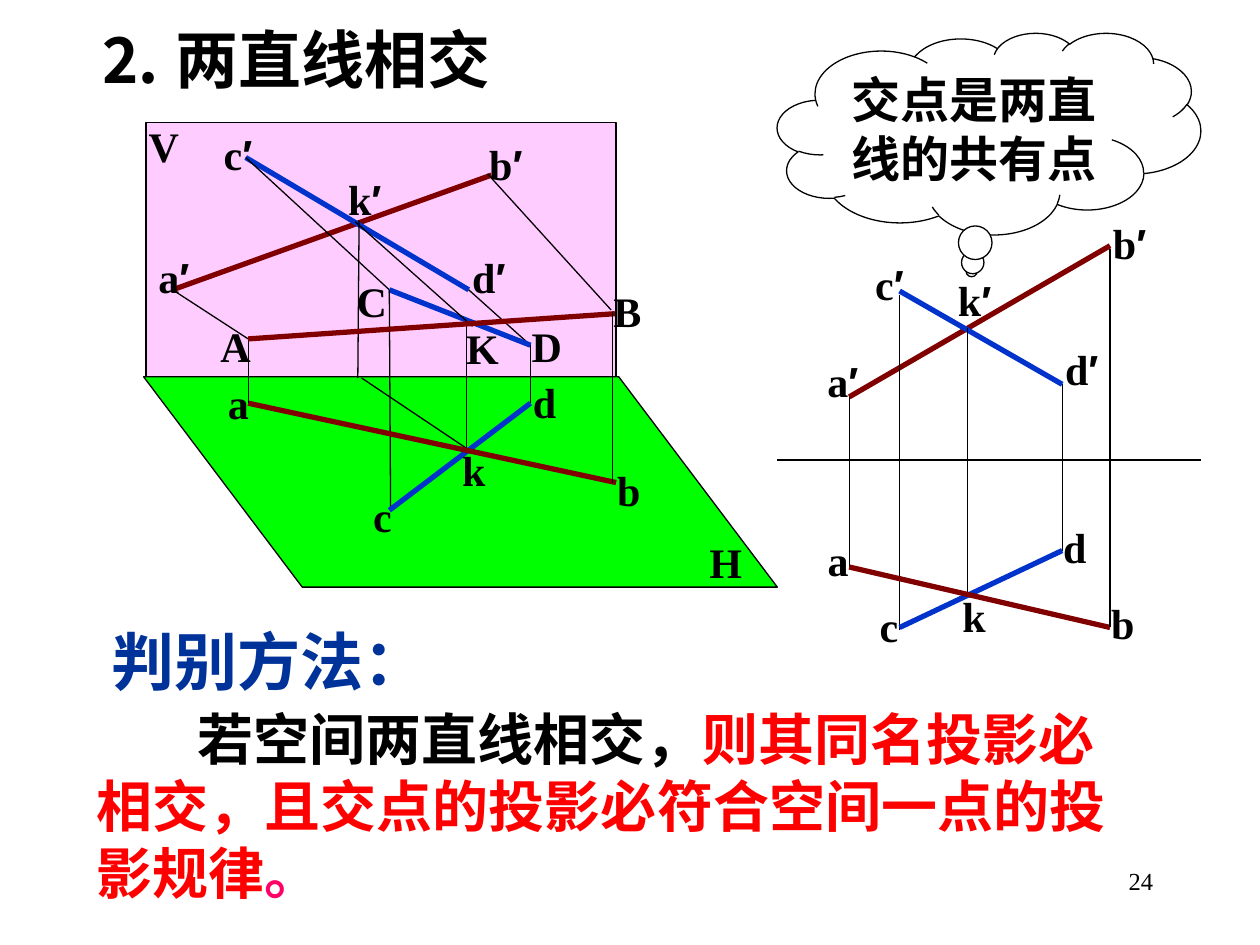
from typing import NamedTuple

from lxml import etree
from pptx import Presentation
from pptx.dml.color import RGBColor
from pptx.enum import shapes, text
from pptx.oxml import ns
from pptx.util import Inches, Pt

BLACK = RGBColor(0x00, 0x00, 0x00)
WHITE = RGBColor(0xFF, 0xFF, 0xFF)
PINK = RGBColor(0xFF, 0xCC, 0xFF)
GREEN = RGBColor(0x00, 0xFF, 0x00)
MAROON = RGBColor(0x80, 0x00, 0x00)
BLUE = RGBColor(0x00, 0x33, 0xCC)
NAVY = RGBColor(0x00, 0x33, 0x99)
RED = RGBColor(0xFF, 0x00, 0x00)
ROSE = RGBColor(0xFF, 0x00, 0x66)

SERIF = "Times New Roman"
SANS = "Arial"
CHINESE = "Noto Sans CJK SC"
THIN, THICK = 0.75, 3
PRIME = "′"


class Segment(NamedTuple):
    x1: float
    y1: float
    x2: float
    y2: float
    color: RGBColor = BLACK
    width: float = THIN


class Label(NamedTuple):
    name: str
    left: float
    top: float
    width: float


SPATIAL_SEGMENTS = [
    Segment(1.37, 2.3, 3.9, 1.39, MAROON, THICK),
    Segment(1.95, 1.25, 3.72, 2.3, BLUE, THICK),
    Segment(3.72, 2.3, 4.21, 2.74),
    Segment(1.95, 1.25, 3.09, 2.3),
    Segment(3.09, 2.3, 4.21, 2.74, BLUE, THICK),
    Segment(3.09, 2.3, 3.1, 4.05),
    Segment(4.21, 2.74, 4.21, 3.2),
    Segment(4.21, 3.2, 3.09, 4.05, BLUE, THICK),
    Segment(2.85, 1.75, 2.84, 3),
    Segment(2.87, 3, 3.72, 3.57),
    Segment(3.7, 2.58, 3.7, 3.57),
    Segment(2.82, 1.76, 3.75, 2.59),
    Segment(1.97, 3.2, 4.89, 3.83, MAROON, THICK),
    Segment(1.97, 3.2, 1.97, 2.69),
    Segment(1.97, 2.69, 1.37, 2.3),
    Segment(1.97, 2.69, 4.88, 2.49, MAROON, THICK),
    Segment(4.86, 2.48, 4.86, 3.83),
    Segment(4.85, 2.46, 3.87, 1.38),
]

SPATIAL_LABELS = [
    Label("H", 5.53, 4.21, 0.46), Label("V", 1.08, 0.91, 0.44),
    Label("A", 1.65, 2.49, 0.44), Label("B", 4.77, 2.22, 0.42),
    Label("C", 2.73, 2.14, 0.44), Label("D", 4.12, 2.49, 0.44),
    Label("K", 3.6, 2.51, 0.46), Label("a", 1.71, 2.95, 0.36),
    Label("b", 4.8, 3.64, 0.38), Label("c", 2.86, 3.84, 0.35),
    Label("d", 4.13, 2.94, 0.38), Label("k", 3.57, 3.48, 0.38),
    Label("a′", 1.14, 1.95, 0.48), Label("b′", 3.77, 1.05, 0.49),
    Label("c′", 1.66, 0.97, 0.46), Label("k′", 2.65, 1.33, 0.49),
    Label("d′", 3.57, 1.95, 0.62),
]

PROJECTION_SEGMENTS = [
    Segment(6.17, 3.65, 9.53, 3.65),
    Segment(6.74, 3.15, 8.81, 1.95, MAROON, THICK),
    Segment(7.14, 2.31, 8.43, 3.05, BLUE, THICK),
    Segment(7.14, 2.34, 7.14, 5),
    Segment(8.43, 3.05, 8.43, 4.37),
    Segment(8.43, 4.37, 7.14, 4.98, BLUE, THICK),
    Segment(7.68, 2.6, 7.68, 4.72),
    Segment(6.74, 3.15, 6.74, 4.5),
    Segment(6.74, 4.5, 8.81, 4.98, MAROON, THICK),
    Segment(8.81, 4.98, 8.81, 1.98),
]

PROJECTION_LABELS = [
    Label("a", 6.47, 4.19, 0.36), Label("b", 8.72, 4.69, 0.37),
    Label("c", 6.88, 4.72, 0.35), Label("d", 8.34, 4.09, 0.37),
    Label("b′", 8.72, 1.68, 0.49), Label("a′", 6.45, 2.77, 0.48),
    Label("c′", 6.83, 2, 0.46), Label("d′", 8.34, 2.68, 0.49),
    Label("k", 7.54, 4.64, 0.38), Label("k′", 7.49, 2.13, 0.49),
]


def add_run(paragraph, content: str, size: float, color: RGBColor = BLACK,
            font: str = SERIF, bold: bool = True) -> None:
    run = paragraph.add_run()
    run.text = content
    run.font.size, run.font.bold, run.font.name = Pt(size), bold, font
    run.font.color.rgb = color
    latin = run.font._element.find(ns.qn("a:latin"))
    east_asian = etree.Element(ns.qn("a:ea"), typeface=CHINESE)
    latin.addnext(east_asian)


def format_frame(shape, align, wrap: bool = False):
    """Set the anchor and wrapping; return the first paragraph."""
    frame = shape.text_frame
    frame.vertical_anchor = text.MSO_ANCHOR.MIDDLE
    frame.word_wrap = wrap
    frame.margin_left = frame.margin_right = Inches(0.1)
    frame.margin_top = frame.margin_bottom = Inches(0.05)
    paragraph = frame.paragraphs[0]
    paragraph.alignment = align
    return paragraph


def add_text_box(container, left: float, top: float, width: float,
                 height: float, align=text.PP_ALIGN.LEFT, wrap: bool = False):
    box = container.add_textbox(*map(Inches, (left, top, width, height)))
    return format_frame(box, align, wrap)


def add_outlined_shape(container, kind, left: float, top: float, width: float,
                       height: float, fill: RGBColor):
    shape = container.add_shape(kind, *map(Inches, (left, top, width, height)))
    shape.shadow.inherit = False
    shape.fill.solid()
    shape.fill.fore_color.rgb = fill
    shape.line.color.rgb = BLACK
    shape.line.width = Pt(THIN)
    return shape


def draw_segment(container, segment: Segment) -> None:
    ends = map(Inches, segment[:4])
    line = container.add_connector(shapes.MSO_CONNECTOR.STRAIGHT, *ends)
    line.line.color.rgb = segment.color
    line.line.width = Pt(segment.width)
    etree.SubElement(line._element.spPr, ns.qn("a:effectLst"))


def draw_label(container, label: Label) -> None:
    paragraph = add_text_box(container, label.left, label.top, label.width, 0.5,
                             text.PP_ALIGN.CENTER)
    add_run(paragraph, label.name[0], 24)
    if label.name.endswith(PRIME):
        add_run(paragraph, PRIME, 24, font=SANS)


def draw_diagram(container, segments: list[Segment], labels: list[Label]) -> None:
    for segment in segments:
        draw_segment(container, segment)
    for label in labels:
        draw_label(container, label)


def main() -> None:
    presentation = Presentation()
    presentation.slide_width, presentation.slide_height = Inches(10), Inches(7.5)
    slide = presentation.slides.add_slide(presentation.slide_layouts[5])

    title = slide.shapes.title
    title.left, title.top = Inches(0.68), Inches(0.11)
    title.width, title.height = Inches(3.7), Inches(0.7)
    add_run(format_frame(title, text.PP_ALIGN.LEFT), "⒉ 两直线相交", 36, font=CHINESE)
    title.text_frame.auto_size = text.MSO_AUTO_SIZE.NONE

    spatial = slide.shapes.add_group_shape().shapes
    add_outlined_shape(spatial, shapes.MSO_SHAPE.RECTANGLE,
                       1.16, 0.97, 3.73, 2.02, PINK)
    floor = add_outlined_shape(spatial, shapes.MSO_SHAPE.PARALLELOGRAM,
                               1.14, 2.99, 5.03, 1.67, GREEN)
    floor.adjustments[0] = 0.754
    floor._element.spPr.find(ns.qn("a:xfrm")).set("flipH", "1")
    draw_diagram(spatial, SPATIAL_SEGMENTS, SPATIAL_LABELS)

    projection = slide.shapes.add_group_shape().shapes
    draw_diagram(projection, PROJECTION_SEGMENTS, PROJECTION_LABELS)

    heading = add_text_box(slide.shapes, 0.79, 4.89, 2.7, 0.7)
    add_run(heading, "判别方法：", 36, NAVY)

    rule = add_text_box(slide.shapes, 0.67, 5.54, 8.4, 1.7, wrap=True)
    rule._p.get_or_add_pPr().set("indent", str(Inches(0.8)))
    add_run(rule, "若空间两直线相交，", 32)
    add_run(rule, "则其同名投影必相交，且交点的投影必符合空间一点的投影规律", 32, RED)
    add_run(rule, "。", 32, ROSE)

    cloud = add_outlined_shape(slide.shapes, shapes.MSO_SHAPE.CLOUD_CALLOUT,
                               6.17, 0.26, 3.36, 1.6, WHITE)
    cloud.adjustments[0], cloud.adjustments[1] = -0.041, 0.683
    add_run(format_frame(cloud, text.PP_ALIGN.CENTER, wrap=True),
            "交点是两直线的共有点", 28)

    number = add_text_box(slide.shapes, 7.17, 6.81, 2.08, 0.36,
                          text.PP_ALIGN.RIGHT, wrap=True)
    add_run(number, "24", 14, bold=False)

    presentation.save("out.pptx")


if __name__ == "__main__":
    main()
